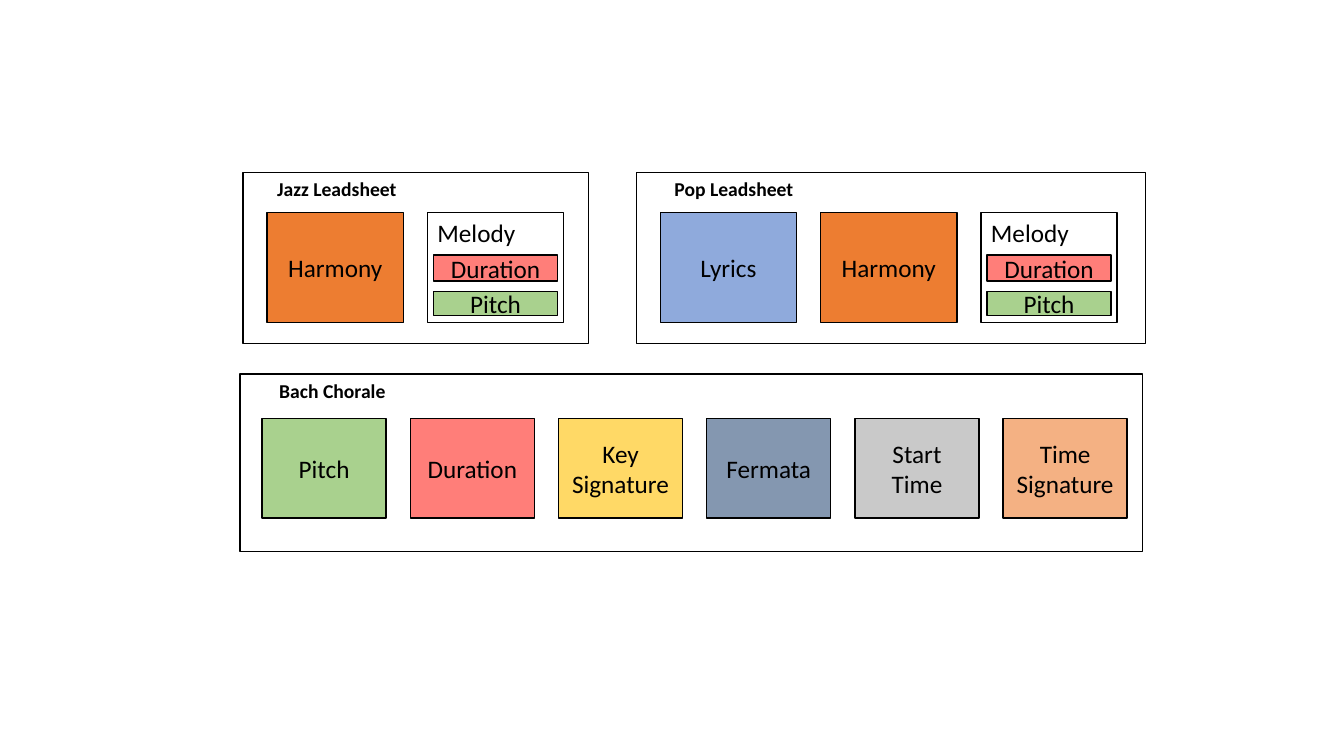
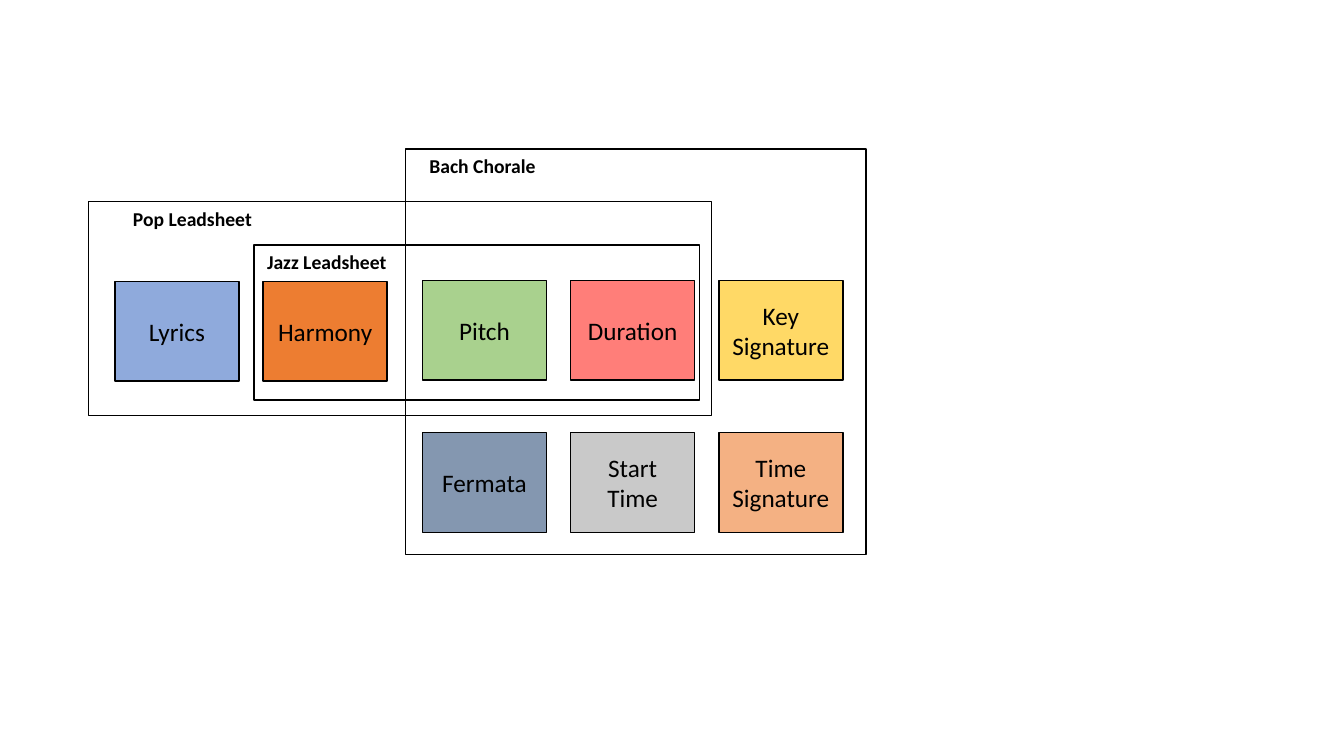
import pptx
import pptx.util
import pptx.dml.color
import pptx.enum.shapes
import pptx.enum.text

Inches = pptx.util.Inches
RGBColor = pptx.dml.color.RGBColor

BLACK = RGBColor(0x00, 0x00, 0x00)
WHITE = RGBColor(0xFF, 0xFF, 0xFF)
ORANGE = RGBColor(0xED, 0x7D, 0x31)
BLUE = RGBColor(0x8F, 0xAA, 0xDC)
GREEN = RGBColor(0xA9, 0xD1, 0x8E)
RED = RGBColor(0xFF, 0x7E, 0x79)
YELLOW = RGBColor(0xFF, 0xD9, 0x66)
SLATE = RGBColor(0x84, 0x97, 0xB0)
GREY = RGBColor(0xC9, 0xC9, 0xC9)
PEACH = RGBColor(0xF4, 0xB1, 0x83)

# Each musical feature keeps its colour on both slides
FILLS = {
    "Harmony": ORANGE,
    "Lyrics": BLUE,
    "Pitch": GREEN,
    "Duration": RED,
    "Key Signature": YELLOW,
    "Fermata": SLATE,
    "Start Time": GREY,
    "Time Signature": PEACH,
}
SMALL = (1.23, 0.99)
LARGE = (1.35, 1.09)


class Deck:
    """Holds the shared style and the current slide."""

    font = "Calibri"

    def __init__(self):
        self.prs = pptx.Presentation()
        self.prs.slide_width = Inches(13.33)
        self.prs.slide_height = Inches(7.5)
        self.slide = None

    def page(self):
        self.slide = self.prs.slides.add_slide(self.prs.slide_layouts[6])

    def words(self, frame, text, size=18, bold=False):
        frame.word_wrap = True
        run = frame.paragraphs[0].add_run()
        run.text = text
        run.font.name = self.font
        run.font.size = pptx.util.Pt(size)
        run.font.bold = bold
        run.font.color.rgb = BLACK

    def box(self, x, y, w, h, fill=None):
        kind = pptx.enum.shapes.MSO_SHAPE.RECTANGLE
        box = self.slide.shapes.add_shape(
            kind, Inches(x), Inches(y), Inches(w), Inches(h))
        box.shadow.inherit = False
        if fill is None:
            box.fill.background()
        else:
            box.fill.solid()
            box.fill.fore_color.rgb = fill
        box.line.color.rgb = BLACK
        box.line.width = pptx.util.Pt(1)
        return box

    def tile(self, name, x, y, w, h):
        frame = self.box(x, y, w, h, FILLS[name]).text_frame
        frame.vertical_anchor = pptx.enum.text.MSO_ANCHOR.MIDDLE
        frame.paragraphs[0].alignment = pptx.enum.text.PP_ALIGN.CENTER
        self.words(frame, name)

    def row(self, names, x, y, size, step):
        for i, name in enumerate(names):
            self.tile(name, x + i * step, y, *size)

    def label(self, text, x, y, w, h=0.34, size=14, bold=True):
        area = self.slide.shapes.add_textbox(
            Inches(x), Inches(y), Inches(w), Inches(h))
        frame = area.text_frame
        self.words(frame, text, size, bold)
        frame.auto_size = pptx.enum.text.MSO_AUTO_SIZE.SHAPE_TO_FIT_TEXT

    def frame(self, title, x, y, w, h, inset):
        self.box(x, y, w, h)
        self.label(title, x + inset, y, 2.09)

    def tune(self, x, y):
        """Melody box with its two parts."""
        self.box(x, y, *LARGE, WHITE)
        self.label("Melody", x, y, LARGE[0], 0.4, 18, False)
        self.tile("Duration", x + 0.06, y + 0.42, SMALL[0], 0.26)
        self.tile("Pitch", x + 0.06, y + 0.78, SMALL[0], 0.24)


def apart(deck):
    """Three data sets side by side."""
    deck.page()
    top, step = 2.11, 1.59

    # Lead sheets
    deck.frame("Jazz Leadsheet", 2.41, 1.71, 3.43, 1.7, 0.24)
    deck.row(["Harmony"], 2.65, top, LARGE, step)
    deck.tune(2.65 + step, top)
    deck.frame("Pop Leadsheet", 6.31, 1.71, 5.05, 1.7, 0.28)
    deck.row(["Lyrics", "Harmony"], 6.55, top, LARGE, step)
    deck.tune(6.55 + 2 * step, top)

    # Chorale
    deck.frame("Bach Chorale", 2.38, 3.71, 8.95, 1.76, 0.29)
    names = ["Pitch", "Duration", "Key Signature", "Fermata",
             "Start Time", "Time Signature"]
    deck.row(names, 2.6, 4.15, SMALL, 1.47)


def shared(deck):
    """The same data sets as overlapping frames."""
    deck.page()
    step = 1.47

    # Frames
    deck.frame("Jazz Leadsheet", 2.52, 2.43, 4.42, 1.54, 0.03)
    deck.frame("Pop Leadsheet", 0.88, 2, 6.18, 2.12, 0.34)
    deck.frame("Bach Chorale", 4.02, 1.48, 4.57, 4.02, 0.14)

    # Features
    deck.row(["Lyrics", "Harmony"], 1.14, 2.79, SMALL, step)
    deck.row(["Pitch", "Duration", "Key Signature"], 4.19, 2.78, SMALL, step)
    deck.row(["Fermata", "Start Time", "Time Signature"],
             4.19, 4.29, SMALL, step)


def main():
    deck = Deck()
    apart(deck)
    shared(deck)
    deck.prs.save("out.pptx")


if __name__ == "__main__":
    main()
